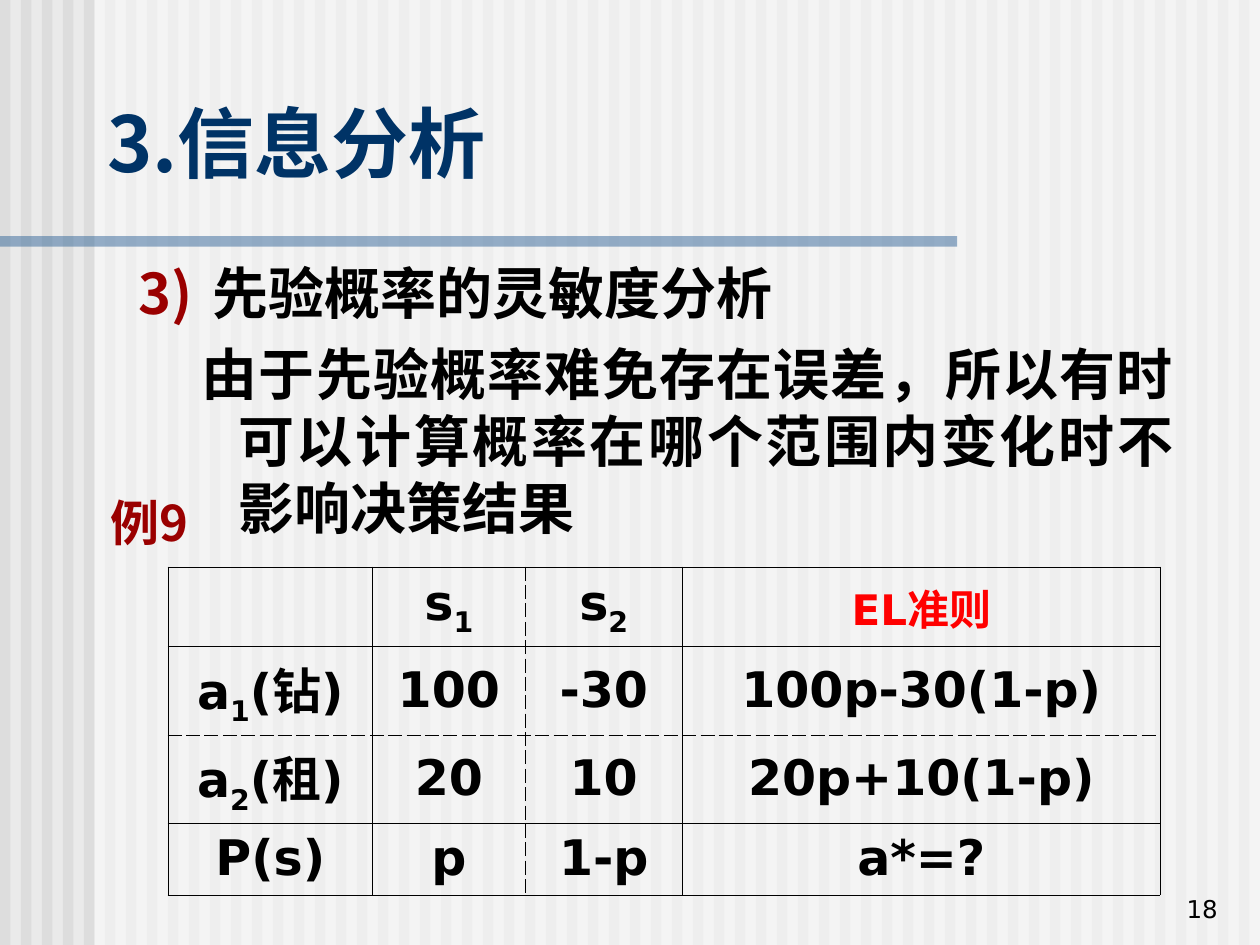
from dataclasses import dataclass

from lxml import etree
from pptx import Presentation
from pptx import util as u
from pptx.dml.color import RGBColor
from pptx.enum import shapes, text
from pptx.oxml.ns import qn

Pt = u.Pt
LEFT, CENTER, RIGHT, JUSTIFY = (text.PP_ALIGN.LEFT, text.PP_ALIGN.CENTER,
                                text.PP_ALIGN.RIGHT, text.PP_ALIGN.JUSTIFY)
TOP, MIDDLE, BOTTOM = (text.MSO_ANCHOR.TOP, text.MSO_ANCHOR.MIDDLE,
                       text.MSO_ANCHOR.BOTTOM)


@dataclass(frozen=True)
class Theme:
    back: str = "EAEAEA"
    stripe: str = "DDDDDD"
    panel: str = "FFFFFF"
    rule: str = "336699"
    title: str = "003366"
    ink: str = "000000"
    accent: str = "9A0000"
    alert: str = "FF0000"
    cjk: str = "Noto Sans CJK SC"
    body_font: str = "Arial"
    table_font: str = "DejaVu Sans"
    title_size: int = 44
    body_size: int = 32
    cell_size: int = 28
    head_size: int = 24
    number_size: int = 14
    border: float = 0.45


def sub(parent, tag, **attrs):
    """Append a DrawingML element."""
    el = etree.SubElement(parent, qn(tag))
    for name, value in attrs.items():
        el.set(name, str(value))
    return el


def write(p, txt, *, size, color, font, cjk, bold=True, align=LEFT, before=0, base=0):
    """Add one formatted run to a paragraph."""
    p.alignment, p.space_before = align, Pt(before)
    r = p.add_run()
    r.text = txt
    f = r.font
    f.size, f.bold, f.name = Pt(size), bold, font
    f.color.rgb = RGBColor.from_string(color)
    rPr = r.font._element if hasattr(r.font, "_element") else r._r.get_or_add_rPr()
    sub(rPr, "a:ea", typeface=cjk)
    if base:
        rPr.set("baseline", str(base * 1000))


class Deck:
    def __init__(self, theme):
        self.t = theme
        self.prs = Presentation()
        self.prs.slide_width, self.prs.slide_height = Pt(720), Pt(540)
        self.s = self.prs.slides.add_slide(self.prs.slide_layouts[1])
        fill = self.s.background.fill
        fill.solid()
        fill.fore_color.rgb = RGBColor.from_string(theme.back)

    def rect(self, x, y, w, h, color, alpha=None):
        sp = self.s.shapes.add_shape(shapes.MSO_SHAPE.RECTANGLE,
                                     Pt(x), Pt(y), Pt(w), Pt(h))
        sp.shadow.inherit = False
        sp.line.fill.background()
        sp.fill.solid()
        sp.fill.fore_color.rgb = RGBColor.from_string(color)
        if alpha:
            clr = sp.element.spPr.find(qn("a:solidFill"))[0]
            sub(clr, "a:alpha", val=alpha * 1000)

    def frame(self, sp, anchor):
        tf = sp.text_frame
        tf.word_wrap, tf.vertical_anchor = True, anchor
        tf.auto_size = text.MSO_AUTO_SIZE.NONE
        return tf

    def holder(self, idx, x, y, w, h, anchor):
        """Move a placeholder to its place, in front of the backdrop."""
        sp = self.s.placeholders[idx]
        sp.left, sp.top, sp.width, sp.height = Pt(x), Pt(y), Pt(w), Pt(h)
        sp.element.getparent().append(sp.element)
        return self.frame(sp, anchor)

    def title(self, txt, *box):
        tf = self.holder(0, *box, MIDDLE)
        write(tf.paragraphs[0], txt, size=self.t.title_size, color=self.t.title,
              font=self.t.cjk, cjk=self.t.cjk)

    def body(self, items, *box):
        """items: (text, left margin, first-line indent, start number or None)."""
        tf = self.holder(1, *box, TOP)
        for i, (txt, margin, indent, number) in enumerate(items):
            p = tf.add_paragraph() if i else tf.paragraphs[0]
            p.level = i + 1
            write(p, txt, size=self.t.body_size, color=self.t.ink,
                  font=self.t.body_font, cjk=self.t.cjk, align=JUSTIFY, before=8)
            pPr = p._p.get_or_add_pPr()
            pPr.set("marL", str(Pt(margin)))
            pPr.set("indent", str(Pt(indent)))
            if number:
                sub(sub(pPr, "a:buClr"), "a:srgbClr", val=self.t.accent)
                sub(pPr, "a:buFont", typeface=self.t.cjk)
                sub(pPr, "a:buAutoNum", type="arabicParenR", startAt=number)
            else:
                sub(pPr, "a:buNone")

    def label(self, txt, x, y, w, h, anchor=TOP, **fmt):
        sp = self.s.shapes.add_textbox(Pt(x), Pt(y), Pt(w), Pt(h))
        write(self.frame(sp, anchor).paragraphs[0], txt, cjk=self.t.cjk, **fmt)

    def border(self, cell, side, dash):
        """Draw one cell edge; dash None leaves it open."""
        ln = sub(cell._tc.get_or_add_tcPr(), "a:ln" + side, w=Pt(self.t.border))
        if dash is None:
            sub(ln, "a:noFill")
        else:
            sub(sub(ln, "a:solidFill"), "a:srgbClr", val=self.t.ink)
            sub(ln, "a:prstDash", val=dash)

    def table(self, rows, widths, heights, x, y, edges):
        gf = self.s.shapes.add_table(len(rows), len(widths), Pt(x), Pt(y),
                                     Pt(sum(widths)), Pt(sum(heights)))
        tb = gf.table
        tb.first_row = tb.horz_banding = False
        for col, w in zip(tb.columns, widths):
            col.width = Pt(w)
        for i, (row, h) in enumerate(zip(rows, heights)):
            tb.rows[i].height = Pt(h)
            for j, runs in enumerate(row):
                cell = tb.cell(i, j)
                cell.vertical_anchor = MIDDLE
                for side, dash in zip("LRTB", edges(i, j)):
                    self.border(cell, side, dash)
                cell.fill.background()
                head = (i, j) == (0, len(row) - 1)
                for k, txt in enumerate(runs):
                    write(cell.text_frame.paragraphs[0], txt, align=CENTER,
                          size=self.t.head_size if head else self.t.cell_size,
                          color=self.t.alert if head else self.t.ink,
                          font=self.t.table_font, cjk=self.t.cjk,
                          before=6 if head else 7, base=-25 if k == 1 else 0)
            if i:
                tb.cell(i, 0).merge(tb.cell(i, 1))


def table_edges(i, j):
    """Left, right, top and bottom line of a cell in the payoff table."""
    def upright(n):
        if n == 1 and i == 0:
            return None
        return "dash" if n == 3 else "solid"

    def level(n):
        return "dash" if n == 2 else "solid"

    return upright(j), upright(j + 1), level(i), level(i + 1)


def main():
    t = Theme()
    d = Deck(t)

    # Striped backdrop, pale panel and title rule
    for n in range(60):
        d.rect(12 * n, 0, 6, 540, t.stripe)
    d.rect(54, 0, 666, 540, t.panel, alpha=50)
    d.rect(0, 135, 547, 6, t.rule, alpha=50)

    # Title and body
    d.title("3.信息分析", 54, 36, 612, 90)
    d.body([("先验概率的灵敏度分析", 78, -42, 3),
            ("由于先验概率难免存在误差，所以有时可以计算概率在哪个范围内变化时不影响决策结果",
             93, -21, None)], 36, 144, 642, 366)

    # Payoff table; each cell is a list of runs, the second one a subscript
    rows = [[[], [], ["s", "1"], ["s", "2"], ["EL准则"]],
            [["a", "1", "(钻)"], [], ["100"], ["-30"], ["100p-30(1-p)"]],
            [["a", "2", "(租)"], [], ["20"], ["10"], ["20p+10(1-p)"]],
            [["P(s)"], [], ["p"], ["1-p"], ["a*=?"]]]
    d.table(rows, [75, 42, 87, 90, 273], [45.5, 45.5, 45.5, 41], 96, 324, table_edges)

    # Example label and page number
    d.label("例9", 53, 278, 65, 41, size=t.cell_size, color=t.accent,
            font=t.cjk, align=CENTER)
    d.label("18", 553, 495, 150, 36, anchor=BOTTOM, size=t.number_size,
            color=t.ink, font=t.table_font, bold=False, align=RIGHT)

    d.prs.save("out.pptx")


if __name__ == "__main__":
    main()
